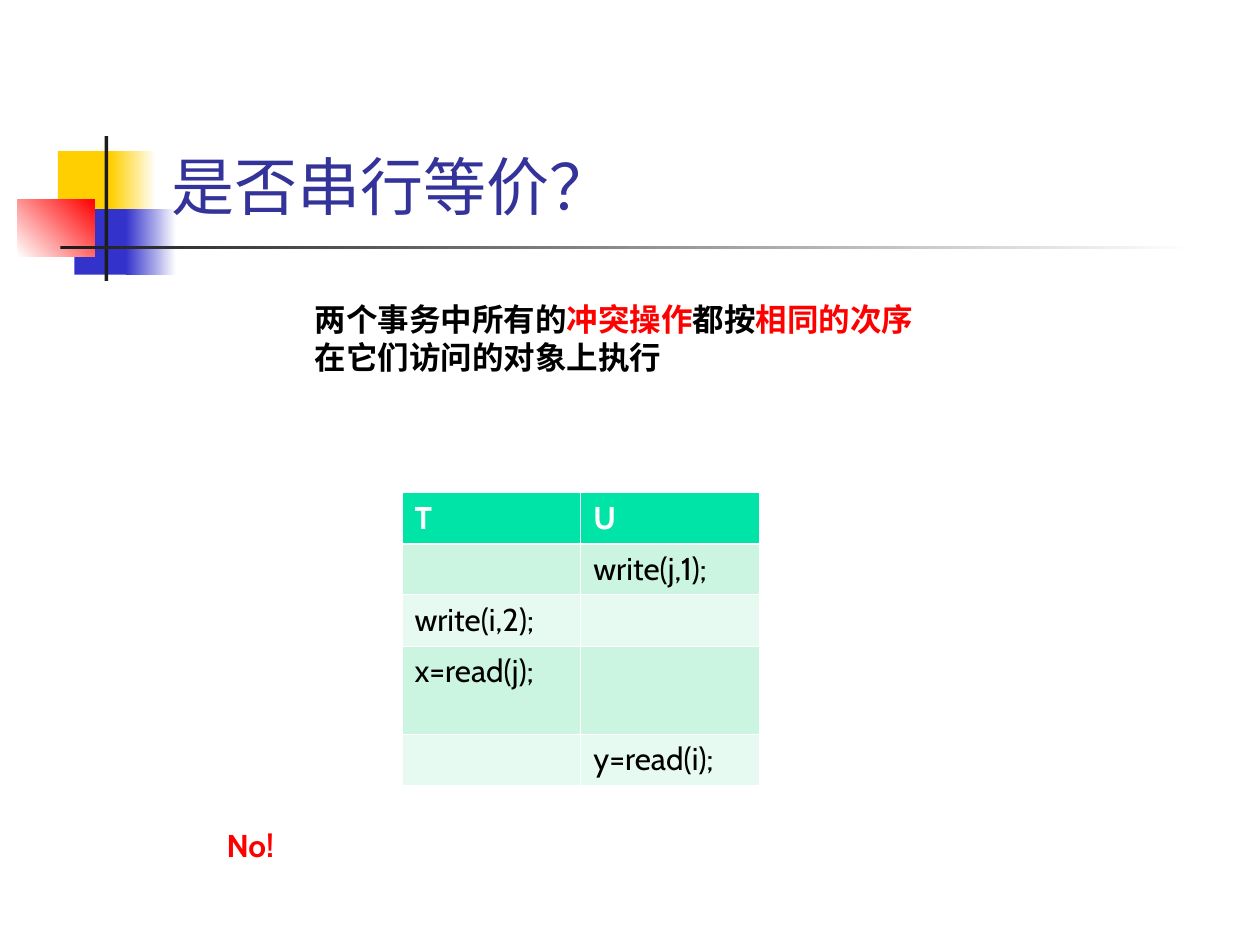
import pptx
import pptx.dml.color
import pptx.enum.shapes
import pptx.enum.text
import pptx.oxml
import pptx.oxml.ns
import pptx.util

Inches = pptx.util.Inches
Pt = pptx.util.Pt

COLORS = {
    "yellow": "FFCF01",
    "blue": "3333CC",
    "red": "FF0000",
    "charcoal": "1C1C1C",
    "white": "FFFFFF",
    "black": "000000",
    "title": "333399",
    "header": "00E4A8",
    "band_dark": "CBF5E1",
    "band_light": "E7FAF1",
}
FONT = "Cabin"
OPERATIONS = [
    ("T", "U"),
    ("", "write(j,1);"),
    ("write(i,2);", ""),
    ("x=read(j);", ""),
    ("", "y=read(i);"),
]
ROW_HEIGHTS = [0.4, 0.4, 0.4, 0.7, 0.4]


def color(name):
    return pptx.dml.color.RGBColor.from_string(COLORS[name])


def style_font(font, size, color_name, bold=False, name=FONT):
    font.name = name
    font.size = Pt(size)
    font.bold = bold
    font.color.rgb = color(color_name)


def add_block(slide, left, top, width, height, start, end=None, angle=0):
    shape = slide.shapes.add_shape(
        pptx.enum.shapes.MSO_SHAPE.RECTANGLE,
        Inches(left), Inches(top), Inches(width), Inches(height))
    shape.shadow.inherit = False
    shape.line.fill.background()
    if end is None:
        shape.fill.solid()
        shape.fill.fore_color.rgb = color(start)
        return
    shape.fill.gradient()
    shape.fill.gradient_angle = angle
    for stop, name in zip(shape.fill.gradient_stops, (start, end)):
        stop.color.rgb = color(name)


def add_ornament(slide, left, top):
    blocks = [
        (0.32, 0.12, 0.48, 0.52, "yellow"),
        (0.74, 0.12, 0.36, 0.52, "yellow", "white"),
        (0.45, 0.58, 0.46, 0.52, "blue"),
        (0.86, 0.58, 0.4, 0.52, "blue", "white"),
        (0, 0.5, 0.61, 0.46, "white", "red", 45),
        (0.69, 0, 0.03, 1.15, "charcoal"),
        (0.34, 0.87, 9, 0.03, "charcoal", "white"),
    ]
    for x, y, *rest in blocks:
        add_block(slide, left + x, top + y, *rest)


def place_title(slide, left, top, width, height):
    title = slide.shapes.title
    title.left, title.top = Inches(left), Inches(top)
    title.width, title.height = Inches(width), Inches(height)
    slide.shapes._spTree.append(title._element)
    frame = title.text_frame
    frame.text = "是否串行等价？"
    frame.auto_size = pptx.enum.text.MSO_AUTO_SIZE.NONE
    frame.vertical_anchor = pptx.enum.text.MSO_ANCHOR.BOTTOM
    paragraph = frame.paragraphs[0]
    paragraph.alignment = pptx.enum.text.PP_ALIGN.LEFT
    style_font(paragraph.font, 36, "title")


def add_text(slide, left, top, width, height, wrap):
    box = slide.shapes.add_textbox(
        Inches(left), Inches(top), Inches(width), Inches(height))
    box.text_frame.word_wrap = wrap
    box.text_frame.auto_size = pptx.enum.text.MSO_AUTO_SIZE.SHAPE_TO_FIT_TEXT
    return box.text_frame.paragraphs[0]


def add_rule(slide, left, top, width, height):
    paragraph = add_text(slide, left, top, width, height, True)
    pieces = [
        ("两个事务中所有的", "black"),
        ("冲突操作", "red"),
        ("都按", "black"),
        ("相同的次序", "red"),
        ("在它们访问的对象上执行", "black"),
    ]
    for text, color_name in pieces:
        run = paragraph.add_run()
        run.text = text
        style_font(run.font, 18, color_name, True, "Times New Roman")


def add_answer(slide, left, top, width, height):
    paragraph = add_text(slide, left, top, width, height, False)
    paragraph.text = "No!"
    style_font(paragraph.font, 18, "red", True)


def set_borders(cell, widths):
    properties = cell._tc.get_or_add_tcPr()
    for index, (side, width) in enumerate(widths.items()):
        properties.insert(index, pptx.oxml.parse_xml(
            f'<a:{side} {pptx.oxml.ns.nsdecls("a")} w="{Pt(width)}"><a:solidFill>'
            f'<a:srgbClr val="{COLORS["white"]}"/></a:solidFill></a:{side}>'))


def add_schedule(slide, left, top, width):
    table = slide.shapes.add_table(
        len(OPERATIONS), 2, Inches(left), Inches(top),
        Inches(width), Inches(sum(ROW_HEIGHTS))).table
    for row, height in zip(table.rows, ROW_HEIGHTS):
        row.height = Inches(height)
    for row_index, texts in enumerate(OPERATIONS):
        header = row_index == 0
        fill = "header" if header else "band_dark" if row_index % 2 else "band_light"
        for column_index, text in enumerate(texts):
            cell = table.cell(row_index, column_index)
            cell.text = text
            cell.fill.solid()
            cell.fill.fore_color.rgb = color(fill)
            style_font(cell.text_frame.paragraphs[0].font, 18,
                       "white" if header else "black", header)
            set_borders(cell, {
                "lnL": 0.45,
                "lnR": 0.45,
                "lnT": 1.47 if row_index == 1 else 0.45,
                "lnB": 1.47 if header else 0.45,
            })


def main():
    presentation = pptx.Presentation()
    presentation.slide_width = Inches(10)
    presentation.slide_height = Inches(7.5)
    slide = presentation.slides.add_slide(presentation.slide_layouts[5])
    add_ornament(slide, 0.14, 1.08)
    add_schedule(slide, 3.19, 3.91, 2.84)
    place_title(slide, 1.26, 0.22, 8.52, 1.6)
    add_rule(slide, 2.4, 2.33, 5, 0.7)
    add_answer(slide, 1.7, 6.51, 0.63, 0.4)
    presentation.save("out.pptx")


if __name__ == "__main__":
    main()
